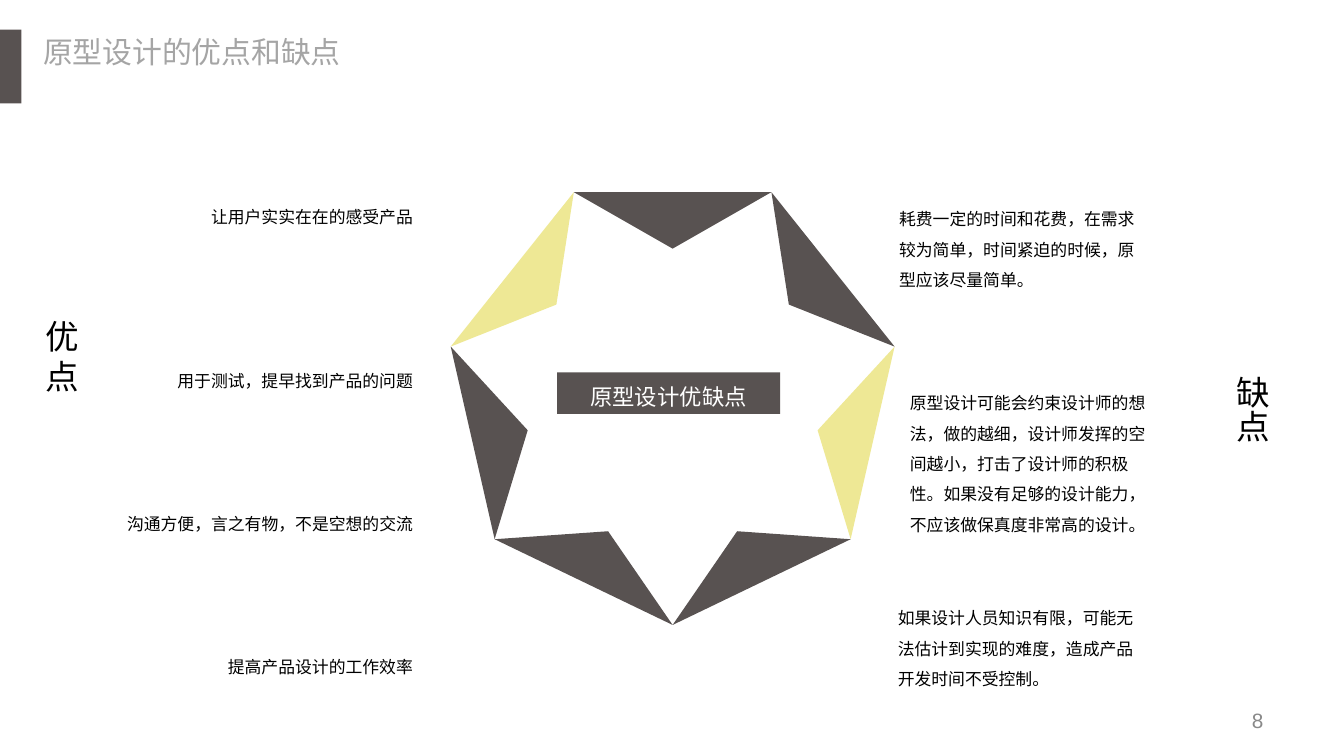
from dataclasses import dataclass
from math import cos, pi, radians, sin, tan

from lxml.etree import SubElement
from pptx import Presentation
from pptx.dml.color import RGBColor
from pptx.enum.shapes import MSO_SHAPE
from pptx.enum.text import MSO_ANCHOR, PP_ALIGN
from pptx.oxml.ns import qn
from pptx.util import Inches, Pt


@dataclass(frozen=True)
class Theme:
    dark: str = "585251"
    accent: str = "EEE895"
    title: str = "A5A5A5"
    number: str = "898989"
    text: str = "000000"
    light: str = "FFFFFF"
    latin: str = "Arial"
    cjk: str = "Noto Sans CJK SC"
    title_pt: float = 16
    side_pt: float = 18
    center_pt: float = 12
    body_pt: float = 9
    number_pt: float = 11.1


THEME = Theme()
WIDTH = 10
HEIGHT = WIDTH * 9 / 16
COLUMNS = 100
CELL = WIDTH / COLUMNS

TITLE = "原型设计的优点和缺点"
CENTER = "原型设计优缺点"
PAGE = "8"
PROS_LABEL = ["优", "点"]
CONS_LABEL = ["缺点"]
PROS_RIGHT = 31.5
PROS = [
    (14.2, 19.8, "让用户实实在在的感受产品"),
    (26.4, 21.7, "用于测试，提早找到产品的问题"),
    (37.1, 24.8, "沟通方便，言之有物，不是空想的交流"),
    (47.7, 19.8, "提高产品设计的工作效率"),
]
CONS_WIDTH = 20.1
CONS = [
    (66.1, 14.4, 7.5, "耗费一定的时间和花费，在需求较为简单，时间紧迫的时候，原型应该尽量简单。"),
    (66.9, 28.1, 12, "原型设计可能会约束设计师的想法，做的越细，设计师发挥的空间越小，"
                     "打击了设计师的积极性。如果没有足够的设计能力，不应该做保真度非常高的设计。"),
    (66, 44.1, 7.5, "如果设计人员知识有限，可能无法估计到实现的难度，造成产品开发时间不受控制。"),
]
RING = dict(x=50.05, top=14.3, edge=14.7, depth=4.2)
RING_COLORS = [THEME.dark, THEME.dark, THEME.accent, THEME.dark,
               THEME.dark, THEME.dark, THEME.accent]


def grid(*cells):
    return [Inches(c * CELL) for c in cells]


def paint(shape, color):
    shape.fill.solid()
    shape.fill.fore_color.rgb = RGBColor.from_string(color)
    shape.line.fill.background()
    shape.shadow.inherit = False


def write(shape, lines, size, color, font=THEME.cjk, align=PP_ALIGN.LEFT,
          spacing=1, before=0, inset=(0.8, 0.4), anchor=MSO_ANCHOR.TOP, wrap=True):
    tf = shape.text_frame
    tf.word_wrap = wrap
    tf.vertical_anchor = anchor
    tf.margin_left, tf.margin_top = tf.margin_right, tf.margin_bottom = grid(*inset)
    tf.text = "\n".join(lines)
    for p in tf.paragraphs:
        p.alignment, p.line_spacing, p.space_before = align, spacing, Pt(before)
        p.font.size, p.font.name = Pt(size), font
        p.font.color.rgb = RGBColor.from_string(color)
        props = p._p.pPr
        props.set("hangingPunct", "0")
        SubElement(props.find(qn("a:defRPr")), qn("a:ea")).set("typeface", THEME.cjk)
    return tf


def add_text(s, box, lines, size=THEME.body_pt, color=THEME.text, **style):
    return write(s.shapes.add_textbox(*grid(*box)), lines, size, color, **style)


def add_block(s, box, color):
    sp = s.shapes.add_shape(MSO_SHAPE.RECTANGLE, *grid(*box))
    paint(sp, color)
    return sp


def add_ring(s):
    count = len(RING_COLORS)
    step = 360 / count
    outer = RING["edge"] / (2 * sin(pi / count))
    apothem = RING["edge"] / (2 * tan(pi / count))
    inner = apothem - RING["depth"]

    def point(radius, angle):
        a = radians(angle)
        return grid(RING["x"] + radius * sin(a),
                    RING["top"] + apothem - radius * cos(a))

    for i, color in enumerate(RING_COLORS):
        angle = i * step
        builder = s.shapes.build_freeform(*point(outer, angle - step / 2), scale=1.0)
        builder.add_line_segments([point(outer, angle + step / 2), point(inner, angle)])
        paint(builder.convert_to_shape(), color)


def main():
    prs = Presentation()
    prs.slide_width, prs.slide_height = Inches(WIDTH), Inches(HEIGHT)
    s = prs.slides.add_slide(prs.slide_layouts[5])

    title = s.shapes.title
    title.left, title.top, title.width, title.height = grid(2.4, 2.1, 25, 3.4)
    write(title, [TITLE], THEME.title_pt, THEME.title)
    add_block(s, (0, 2.2, 1.6, 5.5), THEME.dark)

    add_ring(s)
    write(add_block(s, (41.45, 27.7, 16.6, 3.1), THEME.dark), [CENTER],
          THEME.center_pt, THEME.light, font=THEME.latin, align=PP_ALIGN.CENTER,
          spacing=1.2, before=3, inset=(0.7, 0.4))

    for top, width, text in PROS:
        add_text(s, (PROS_RIGHT - width, top, width, 3), [text],
                 align=PP_ALIGN.RIGHT, spacing=1.5)
    for left, top, height, text in CONS:
        add_text(s, (left, top, CONS_WIDTH, height), [text], spacing=1.5)

    add_text(s, (2.4, 23, 4.5, 7), PROS_LABEL, THEME.side_pt,
             font=THEME.latin, inset=(1, 0.5), wrap=False)
    cons = add_text(s, (90.2, 27, 5, 6), CONS_LABEL, THEME.side_pt,
                    font=THEME.latin, inset=(0.5, 0.5), wrap=False)
    cons._txBody.bodyPr.set("vert", "eaVert")

    add_text(s, (71.7, 52.2, 23.3, 3), [PAGE], THEME.number_pt, THEME.number,
             font=THEME.latin, align=PP_ALIGN.RIGHT, spacing=0.9,
             inset=(1, 0.5), anchor=MSO_ANCHOR.MIDDLE)
    prs.save("out.pptx")


if __name__ == "__main__":
    main()
